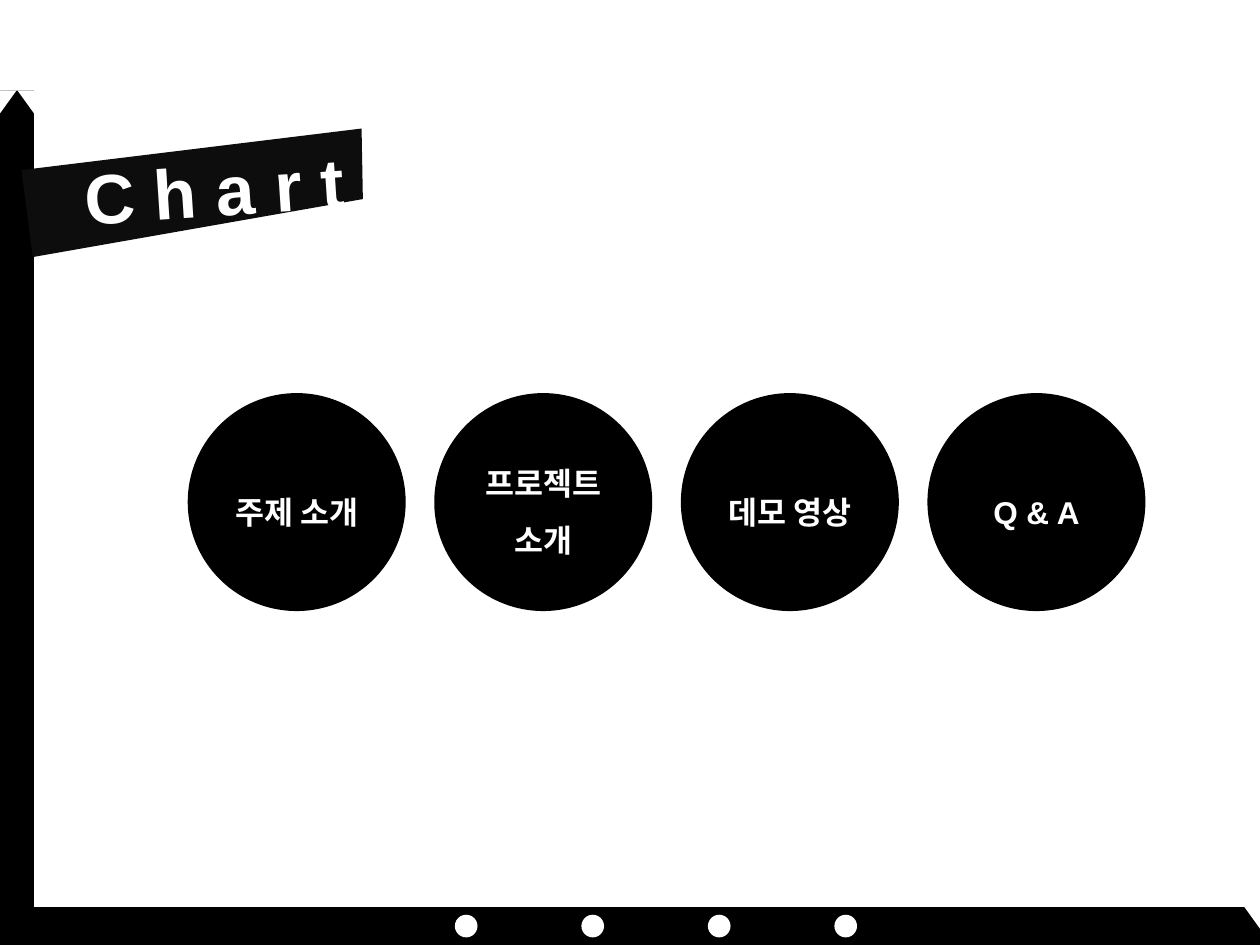
from dataclasses import dataclass

import pptx
import pptx.dml.color
import pptx.enum.shapes
import pptx.enum.text
import pptx.util

WIDTH, HEIGHT = 10, 7.5
COLORS = {"ink": "000000", "banner": "0D0D0D", "paper": "FFFFFF"}
FONT = "Arial"
SHAPES = pptx.enum.shapes.MSO_SHAPE
Inches = pptx.util.Inches


@dataclass(frozen=True)
class Area:
    left: float
    top: float
    width: float
    height: float


@dataclass(frozen=True)
class Row:
    """Equal circles whose left edges are one pitch apart."""
    left: float
    top: float
    size: float
    pitch: float

    def cell(self, column: int) -> Area:
        return Area(self.left + column * self.pitch, self.top, self.size, self.size)


TOPICS = ["주제 소개", "프로젝트 소개", "데모 영상", "Q & A"]
TOPIC_ROW = Row(left=1.49, top=3.12, size=1.73, pitch=1.957)
DOT_ROW = Row(left=3.61, top=7.26, size=0.18, pitch=1.004)

SIDE_BAR = Area(0, 0.72, 0.27, HEIGHT - 0.72)
BOTTOM_BAR = Area(0, 7.2, WIDTH, 0.3)
NOTCH_WIDTH, NOTCH_HEIGHT = 0.13, 0.18
BANNER_CORNERS = [(0.17, 1.35), (2.87, 1.02), (2.88, 1.58), (0.26, 2.04)]
TITLE_AREA = Area(0.3, 1.15, 2.8, 0.7)
TITLE_ANGLE = -3.8


def paint(shape, color: str) -> None:
    shape.shadow.inherit = False
    shape.fill.solid()
    shape.fill.fore_color.rgb = pptx.dml.color.RGBColor.from_string(COLORS[color])
    shape.line.fill.background()


def add_shape(page, kind, area: Area, color: str):
    shape = page.shapes.add_shape(
        kind, Inches(area.left), Inches(area.top), Inches(area.width), Inches(area.height)
    )
    paint(shape, color)
    return shape


def write(shape, text: str, size: int, spacing: float = 1.0) -> None:
    frame = shape.text_frame
    frame.word_wrap = True
    frame.vertical_anchor = pptx.enum.text.MSO_ANCHOR.MIDDLE
    paragraph = frame.paragraphs[0]
    paragraph.text = text
    paragraph.alignment = pptx.enum.text.PP_ALIGN.CENTER
    paragraph.line_spacing = spacing
    paragraph.font.name = FONT
    paragraph.font.size = pptx.util.Pt(size)
    paragraph.font.bold = True
    paragraph.font.color.rgb = pptx.dml.color.RGBColor.from_string(COLORS["paper"])


def add_notch(page, left: float, top: float, mirrored: bool = False) -> None:
    """Cut a bar's top right corner, or its top left one when mirrored."""
    area = Area(left, top, NOTCH_WIDTH, NOTCH_HEIGHT)
    notch = add_shape(page, SHAPES.RIGHT_TRIANGLE, area, "paper")
    notch.rotation = 180
    if mirrored:
        notch.element.spPr.xfrm.set("flipH", "1")


def add_frame(page) -> None:
    add_shape(page, SHAPES.RECTANGLE, SIDE_BAR, "ink")
    add_notch(page, SIDE_BAR.width - NOTCH_WIDTH, SIDE_BAR.top)
    add_notch(page, 0, SIDE_BAR.top, mirrored=True)
    add_shape(page, SHAPES.RECTANGLE, BOTTOM_BAR, "ink")
    add_notch(page, WIDTH - NOTCH_WIDTH, BOTTOM_BAR.top - 0.01)


def add_banner(page) -> None:
    corners = [(Inches(x), Inches(y)) for x, y in BANNER_CORNERS]
    builder = page.shapes.build_freeform(*corners[0])
    builder.add_line_segments(corners[1:], close=True)
    paint(builder.convert_to_shape(), "banner")

    area = TITLE_AREA
    title = page.shapes.add_textbox(
        Inches(area.left), Inches(area.top), Inches(area.width), Inches(area.height)
    )
    title.rotation = TITLE_ANGLE
    write(title, "C h a r t", size=40)


def main() -> None:
    deck = pptx.Presentation()
    deck.slide_width, deck.slide_height = Inches(WIDTH), Inches(HEIGHT)
    page = deck.slides.add_slide(deck.slide_layouts[6])

    add_frame(page)
    add_banner(page)
    for column, topic in enumerate(TOPICS):
        circle = add_shape(page, SHAPES.OVAL, TOPIC_ROW.cell(column), "ink")
        write(circle, topic, size=18, spacing=1.5)
        add_shape(page, SHAPES.OVAL, DOT_ROW.cell(column), "paper")

    deck.save("out.pptx")


if __name__ == "__main__":
    main()
